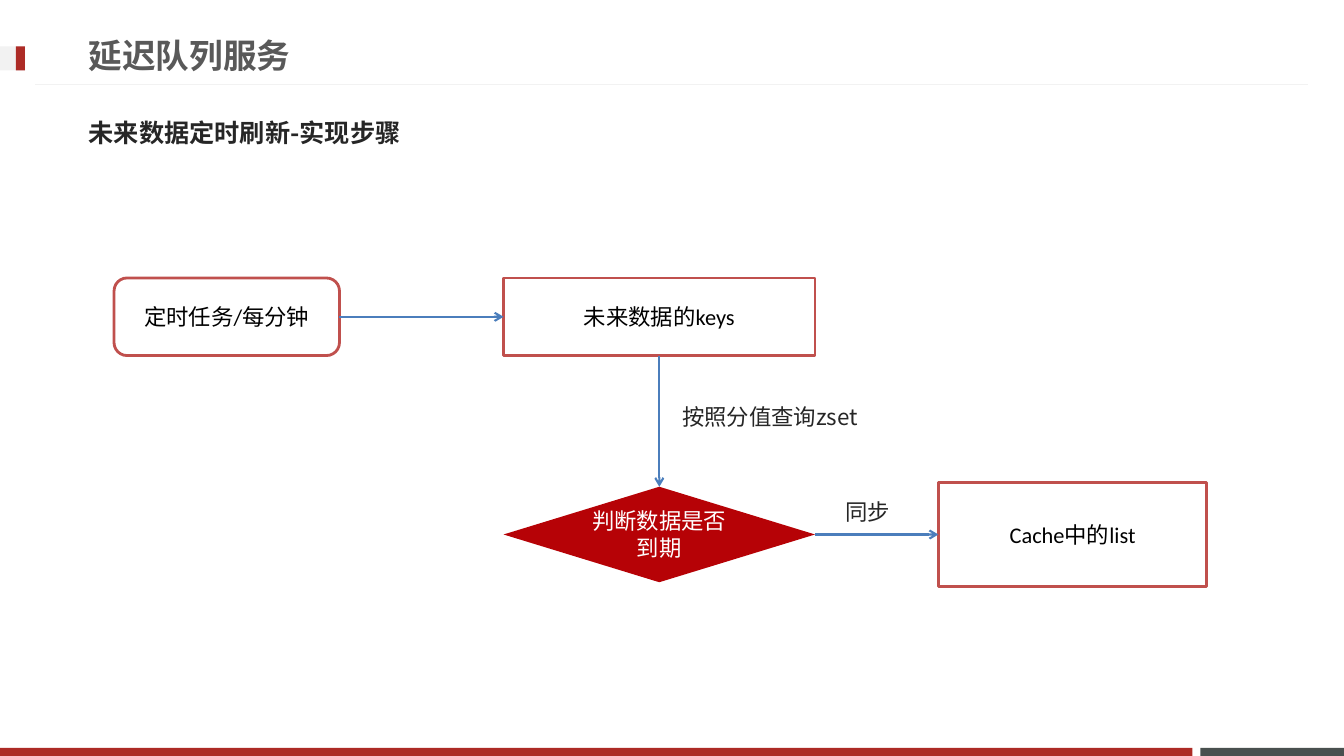
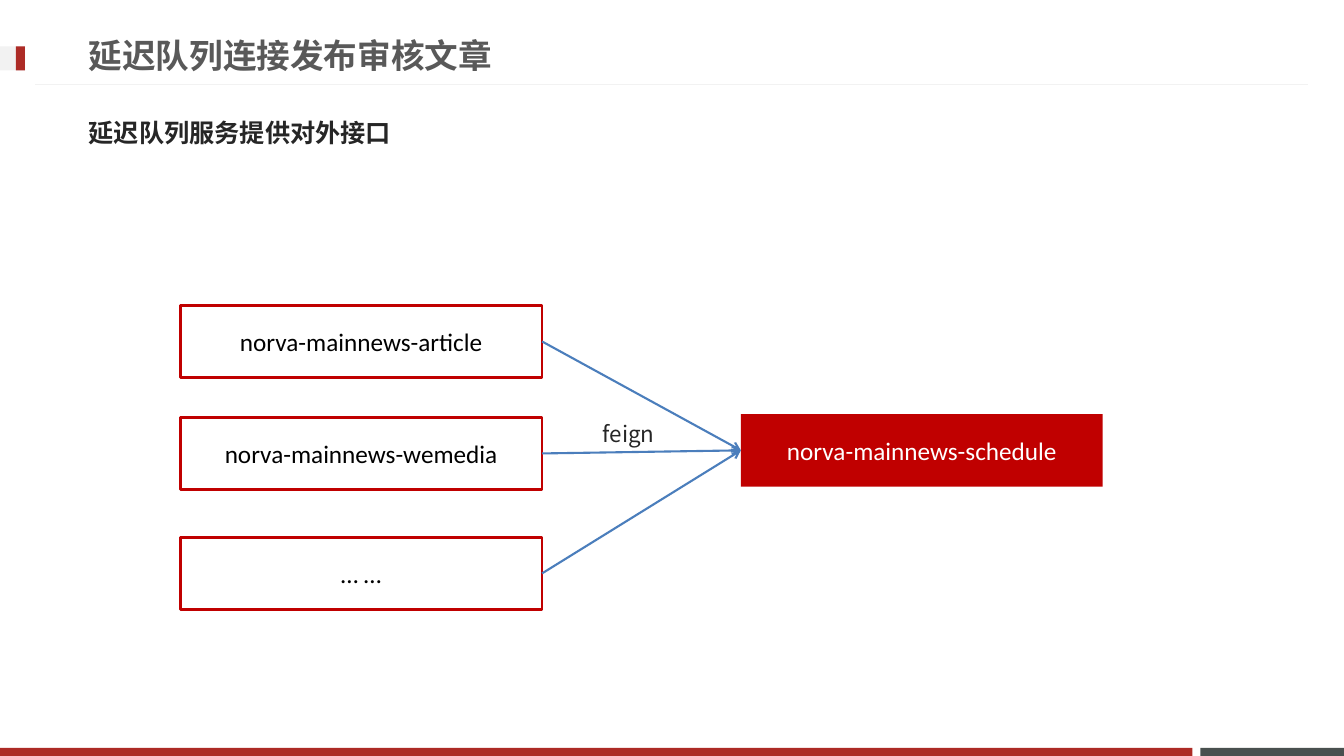
"""Build two slides on a delay queue: the refresh flow and the interfaces it offers."""
from dataclasses import dataclass
from lxml.etree import SubElement
from pptx import Presentation
from pptx.dml.color import RGBColor
from pptx.enum.lang import MSO_LANGUAGE_ID
from pptx.enum.shapes import MSO_CONNECTOR, MSO_SHAPE
from pptx.enum.text import MSO_ANCHOR, MSO_AUTO_SIZE, PP_ALIGN
from pptx.oxml.ns import qn
from pptx.util import Pt


@dataclass(frozen=True)
class Theme:
    band: str = "AD2B26"
    slate: str = "49504F"
    pale: str = "F2F2F2"
    white: str = "FFFFFF"
    black: str = "000000"
    heading: str = "595959"
    body: str = "262626"
    outline: str = "C0504D"
    decision: str = "B60206"
    service: str = "C00000"
    arrow: str = "4B7EBC"
    title_font: str = "Arial"
    body_font: str = "Noto Sans CJK JP"
    box_font: str = "Calibri"
    title_size: int = 24
    large: int = 18
    small: int = 16


theme = Theme()


def write(shape, text, font, size, color, bold=False, align=PP_ALIGN.LEFT, anchor=MSO_ANCHOR.MIDDLE):
    frame = shape.text_frame
    frame.word_wrap = True
    frame.auto_size = MSO_AUTO_SIZE.NONE
    frame.vertical_anchor = anchor
    paragraph = frame.paragraphs[0]
    paragraph.alignment = align
    run = paragraph.add_run()
    run.text = text
    run.font.name = font
    run.font.size = Pt(size)
    run.font.bold = bold
    run.font.color.rgb = RGBColor.from_string(color)
    run.font.language_id = MSO_LANGUAGE_ID.SIMPLIFIED_CHINESE
    latin = run.font._element.find(qn("a:latin"))
    east_asian = latin.makeelement(qn("a:ea"), {"typeface": theme.body_font})
    latin.addnext(east_asian)
    return paragraph


def draw(slide, preset, place, fill, line=None):
    shape = slide.shapes.add_shape(preset, *map(Pt, place))
    shape.shadow.inherit = False
    shape.fill.solid()
    shape.fill.fore_color.rgb = RGBColor.from_string(fill)
    if line:
        shape.line.color.rgb = RGBColor.from_string(line)
        shape.line.width = Pt(2)
    else:
        shape.line.fill.background()
    return shape


deck = Presentation()
deck.slide_width, deck.slide_height = Pt(960), Pt(540)
layout = deck.slide_layouts[1]
for holder, place in zip(layout.placeholders, [(56.2, 18.7, 690.5, 41), (56.2, 74.2, 842.4, 41)]):
    holder.left, holder.top, holder.width, holder.height = map(Pt, place)

headings = [
    ("延迟队列服务", "未来数据定时刷新-实现步骤"),
    ("延迟队列连接发布审核文章", "延迟队列服务提供对外接口"),
]
slides = []
for title, subtitle in headings:
    slide = deck.slides.add_slide(layout)
    write(slide.shapes.title, title, theme.title_font, theme.title_size, theme.heading, bold=True)
    lead = write(slide.placeholders[1], subtitle, theme.body_font, theme.large, theme.body, bold=True)
    properties = lead._p.get_or_add_pPr()
    properties.set("marL", "0")
    properties.set("indent", "0")
    SubElement(properties, qn("a:buNone"))
    slides.append(slide)
flow, services = slides

bands = [
    ((857.5, 534.2, 102.5, 5.8), theme.slate),
    ((0, 534.2, 851.8, 5.8), theme.band),
    ((0, 33.1, 18, 17.3), theme.pale),
    ((11.3, 33.1, 6.5, 17.3), theme.band),
]
furniture = [draw(flow, MSO_SHAPE.RECTANGLE, place, fill) for place, fill in bands]
title_rule = flow.shapes.add_connector(MSO_CONNECTOR.STRAIGHT, Pt(25.2), Pt(60.4), Pt(934.6), Pt(60.4))
title_rule.line.color.rgb = RGBColor.from_string(theme.pale)
title_rule.line.width = Pt(0.75)
SubElement(title_rule._element.spPr, qn("a:effectLst"))
for part in [*furniture, title_rule]:
    deck.slide_master.shapes.element.append(part._element)

steps = [
    (MSO_SHAPE.ROUNDED_RECTANGLE, (81.5, 198.6, 161, 55.4), "定时任务/每分钟"),
    (MSO_SHAPE.RECTANGLE, (359.7, 198.6, 222.5, 55.4), "未来数据的keys"),
    (MSO_SHAPE.FLOWCHART_DECISION, (359.7, 347.7, 222.5, 68.2), "判断数据是否到期"),
    (MSO_SHAPE.RECTANGLE, (670.3, 344.7, 191.8, 74.2), "Cache中的list"),
]
step_boxes = []
for preset, place, text in steps:
    decides = preset == MSO_SHAPE.FLOWCHART_DECISION
    fill, line, ink = (theme.decision, None, theme.white) if decides else (theme.white, theme.outline, theme.black)
    box = draw(flow, preset, place, fill, line)
    write(box, text, theme.box_font, theme.small, ink, align=PP_ALIGN.CENTER)
    step_boxes.append(box)
timer, future_keys, expiry_check, ready_list = step_boxes

modules = [
    (128.7, 218, "norva-mainnews-article"),
    (128.7, 298, "norva-mainnews-wemedia"),
    (128.7, 383.7, "… …"),
    (529.2, 295.8, "norva-mainnews-schedule"),
]
module_boxes = []
for left, top, text in modules:
    provides = text.endswith("schedule")
    fill, line, ink = (theme.service, None, theme.white) if provides else (theme.white, theme.service, theme.black)
    box = draw(services, MSO_SHAPE.RECTANGLE, (left, top, 258.5, 51.8), fill, line)
    write(box, text, theme.box_font, theme.large, ink, align=PP_ALIGN.CENTER)
    module_boxes.append(box)
*callers, schedule = module_boxes

TOP, LEFT, BOTTOM, RIGHT = range(4)
links = [
    (flow, timer, RIGHT, future_keys, LEFT),
    (flow, future_keys, BOTTOM, expiry_check, TOP),
    (flow, expiry_check, RIGHT, ready_list, LEFT),
    *[(services, caller, RIGHT, schedule, LEFT) for caller in callers],
]
for slide, source, exit_side, target, entry_side in links:
    arrow = slide.shapes.add_connector(MSO_CONNECTOR.STRAIGHT, 0, 0, 0, 0)
    arrow.begin_connect(source, exit_side)
    arrow.end_connect(target, entry_side)
    arrow.line.color.rgb = RGBColor.from_string(theme.arrow)
    arrow.line.width = Pt(1.5)
    SubElement(arrow.line._get_or_add_ln(), qn("a:tailEnd"), type="arrow")
    SubElement(arrow._element.spPr, qn("a:effectLst"))

labels = [
    (flow, (480.2, 275, 161.3, 41), "按照分值查询zset"),
    (flow, (596.9, 342.7, 58.3, 41), "同步"),
    (services, (423.4, 287.3, 68.4, 41), "feign"),
]
for slide, place, text in labels:
    label = slide.shapes.add_textbox(*map(Pt, place))
    caption = write(label, text, theme.body_font, theme.small, theme.body, anchor=MSO_ANCHOR.TOP)
    caption.line_spacing = 1.5
    caption.space_before = Pt(3.2)

deck.save("out.pptx")
